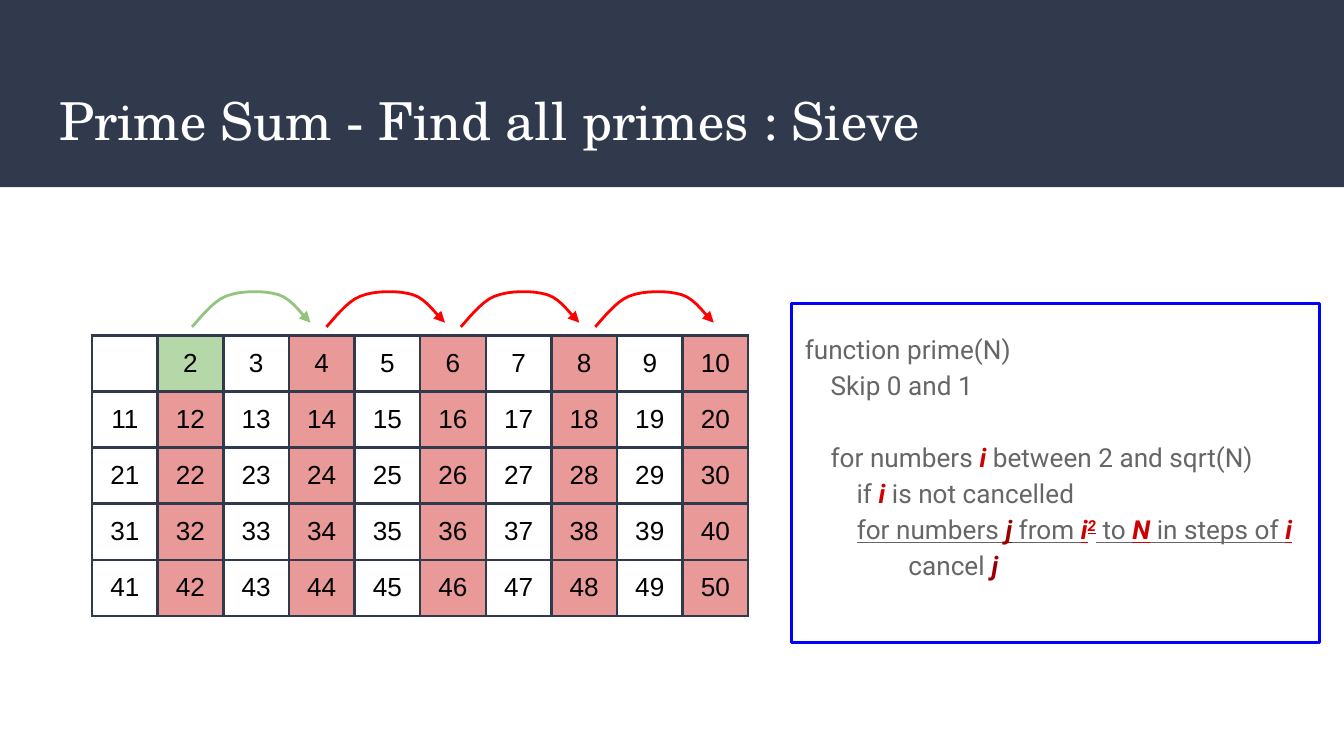
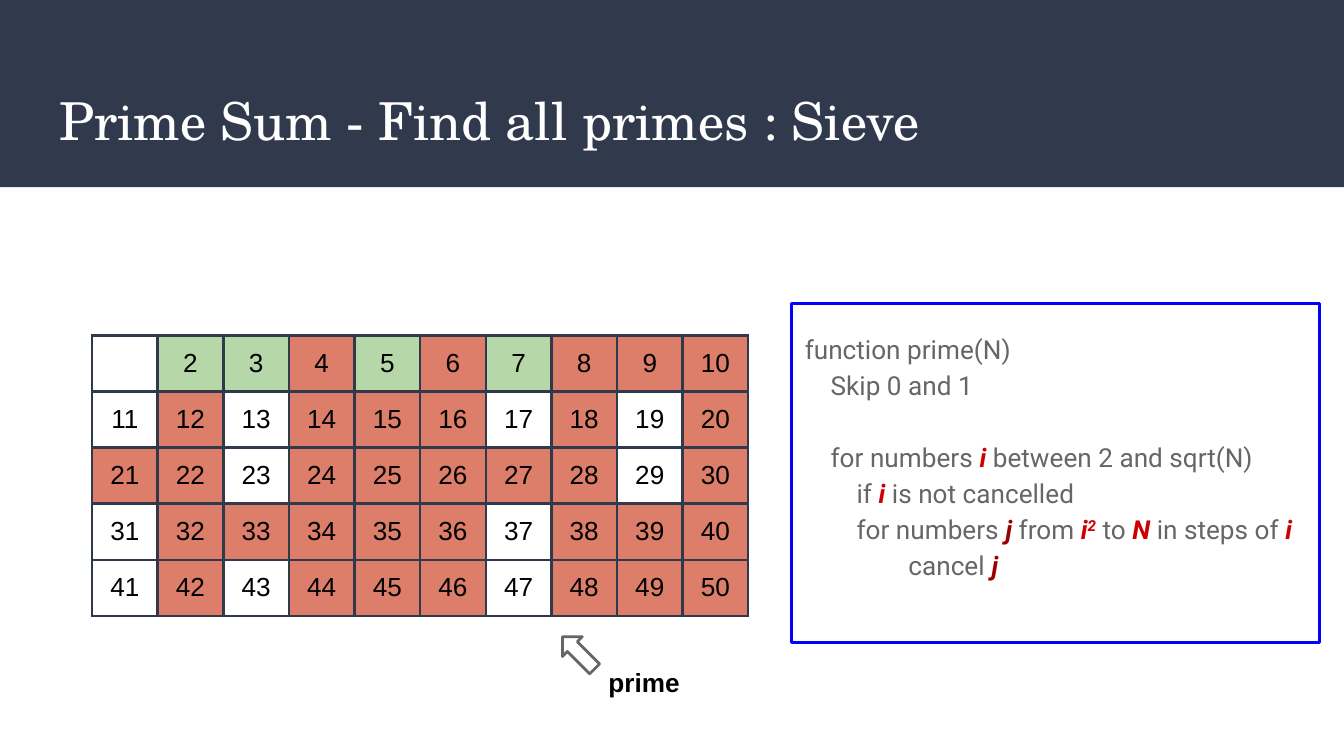
import dataclasses

import lxml.etree
import pptx
import pptx.dml.color
import pptx.enum.shapes
import pptx.enum.text
import pptx.oxml.ns
import pptx.util


@dataclasses.dataclass(frozen=True)
class Theme:
    """Colours, fonts and sizes of the deck."""

    navy: str = "31394D"
    white: str = "FFFFFF"
    black: str = "000000"
    grey: str = "666666"
    blue: str = "0000FF"
    leaf: str = "B6D7A8"
    green: str = "93C47D"
    red: str = "FF0000"
    pink: str = "EA9999"
    coral: str = "DD7E6B"
    key: str = "CC0000"
    dark: str = "990000"
    serif: str = "TeX Gyre Schola"
    sans: str = "Arial"
    code: str = "Roboto"
    head: float = 28
    text: float = 14
    line: float = 1.5
    pad: float = 0.25


THEME = Theme()
SIZE = (25.4, 14.29)
BAND = (0, 0, 25.4, 3.54)
TITLE = (0.87, 1.4, 23.67, 1.73)
GRID = (1.74, 6.34, 12.4, 5.3)
CODE = (14.96, 5.74, 9.98, 6.4)
HOPS = (3.63, 5.52, 2.24, 0.66)
MARK = (10.67, 11.91, 7.0, 1.6)
ROWS, COLS = 5, 10
HOP_STEP = 2.54
ARC = [
    (0, 0.66), (0.1, 0.56), (0.38, 0.18), (0.64, 0.08), (0.91, -0.03),
    (1.37, -0.03), (1.63, 0.05), (1.91, 0.13), (2.13, 0.51), (2.24, 0.58),
]
LINES = [
    (0, "function prime(N)"),
    (1, "Skip 0 and 1"),
    (0, ""),
    (1, "for numbers |i| between 2 and sqrt(N)"),
    (2, "if |i| is not cancelled"),
    (2, "for numbers |j| from |i||2| to |N| in steps of |i|"),
    (4, "cancel |j|"),
]
STEP_LINE = 5


def place(box):
    """Turn a box in centimetres into lengths."""
    return [pptx.util.Cm(side) for side in box]


def tint(code):
    """Return a colour object."""
    return pptx.dml.color.RGBColor.from_string(code)


def style(run, name, size, hue, bold=False):
    """Format one run."""
    font = run.font
    font.name, font.size, font.bold = name, pptx.util.Pt(size), bold
    font.color.rgb = tint(hue)


def inset(frame):
    """Give a text frame or cell even margins."""
    pad = pptx.util.Cm(THEME.pad)
    frame.margin_left = frame.margin_right = pad
    frame.margin_top = frame.margin_bottom = pad


def hollow(shape, hue):
    """Leave only the outline of a shape."""
    shape.shadow.inherit = False
    shape.fill.background()
    shape.line.color.rgb = tint(hue)
    shape.line.width = pptx.util.Pt(THEME.line)


def add_band(slide, box):
    """Put the dark band behind all slides of the layout."""
    band = slide.shapes.add_shape(
        pptx.enum.shapes.MSO_SHAPE.RECTANGLE, *place(box))
    band.shadow.inherit = False
    band.fill.solid()
    band.fill.fore_color.rgb = tint(THEME.navy)
    band.line.fill.background()
    slide.slide_layout.shapes._spTree.insert(2, band._element)


def add_title(slide, box, text):
    """Fill and place the title."""
    title = slide.shapes.title
    title.left, title.top, title.width, title.height = place(box)
    frame = title.text_frame
    frame.text = text
    frame.auto_size = pptx.enum.text.MSO_AUTO_SIZE.NONE
    frame.vertical_anchor = pptx.enum.text.MSO_ANCHOR.MIDDLE
    inset(frame)
    para = frame.paragraphs[0]
    para.alignment = pptx.enum.text.PP_ALIGN.LEFT
    style(para.runs[0], THEME.serif, THEME.head, THEME.white)


def add_edges(cell):
    """Draw the four borders of a cell."""
    props = cell._tc.get_or_add_tcPr()
    qn = pptx.oxml.ns.qn
    for side in "LRTB":
        edge = lxml.etree.SubElement(
            props, qn("a:ln" + side), w=str(pptx.util.Pt(THEME.line)))
        fill = lxml.etree.SubElement(edge, qn("a:solidFill"))
        lxml.etree.SubElement(fill, qn("a:srgbClr"), val=THEME.navy)


def fill_cell(cell, num, primes, hue):
    """Write one number and shade it by its state in the sieve."""
    add_edges(cell)
    if num in primes:
        shade = THEME.leaf
    elif any(num % prime == 0 for prime in primes):
        shade = hue
    else:
        shade = None
    if shade:
        cell.fill.solid()
        cell.fill.fore_color.rgb = tint(shade)
    else:
        cell.fill.background()
    if num > 1:
        inset(cell)
        cell.vertical_anchor = pptx.enum.text.MSO_ANCHOR.MIDDLE
        para = cell.text_frame.paragraphs[0]
        para.text = str(num)
        para.alignment = pptx.enum.text.PP_ALIGN.CENTER
        style(para.runs[0], THEME.sans, THEME.text, THEME.black)


def add_grid(slide, box, primes, hue):
    """Add the number table, sieved by the given primes."""
    table = slide.shapes.add_table(ROWS, COLS, *place(box)).table
    table.first_row = table.horz_banding = False
    for col in table.columns:
        col.width = pptx.util.Cm(box[2] / COLS)
    for row in table.rows:
        row.height = pptx.util.Cm(box[3] / ROWS)
    for num, cell in enumerate(table.iter_cells(), 1):
        fill_cell(cell, num, primes, hue)


def add_part(para, text, is_key, under):
    """Add one run of code, bold and red if it is a key name."""
    run = para.add_run()
    run.text = text
    hue = THEME.grey
    if is_key:
        hue = THEME.dark if text == "j" else THEME.key
    style(run, THEME.code, THEME.text, hue, is_key)
    run.font.italic = is_key
    run.font.underline = under
    if is_key and text == "2":
        run._r.get_or_add_rPr().set("baseline", "30000")


def add_break(para):
    """Break the line at the size of the code."""
    para.add_line_break()
    lxml.etree.SubElement(
        para._p[-1], pptx.oxml.ns.qn("a:rPr"), sz=str(THEME.text * 100))


def add_code(slide, box, under=None):
    """Add the framed code, with one line underlined if asked."""
    shape = slide.shapes.add_shape(
        pptx.enum.shapes.MSO_SHAPE.RECTANGLE, *place(box))
    hollow(shape, THEME.blue)
    frame = shape.text_frame
    frame.word_wrap = True
    frame.vertical_anchor = pptx.enum.text.MSO_ANCHOR.MIDDLE
    inset(frame)
    frame.margin_bottom = pptx.util.Cm(0.93)
    para = frame.paragraphs[0]
    para.alignment = pptx.enum.text.PP_ALIGN.LEFT
    para.line_spacing = 1.15
    for row, (depth, line) in enumerate(LINES):
        if row:
            add_break(para)
        if depth:
            add_part(para, "    " * depth, False, False)
        for spot, text in enumerate(line.split("|")):
            if text:
                add_part(para, text, spot % 2 == 1, row == under)


def trace(points, steps=8):
    """Yield points along joined cubic curves."""
    for first in range(0, len(points) - 1, 3):
        a, b, c, d = points[first:first + 4]
        for step in range(1, steps + 1):
            t = step / steps
            u = 1 - t
            yield tuple(
                u**3 * p + 3 * u * u * t * q + 3 * u * t * t * r + t**3 * s
                for p, q, r, s in zip(a, b, c, d))


def add_hop(slide, box, hue):
    """Add one curved arrow."""
    left, top = box[:2]
    start, *rest = [
        place((left + x, top + y)) for x, y in (ARC[0], *trace(ARC))]
    form = slide.shapes.build_freeform(*start)
    form.add_line_segments(rest, close=False)
    hop = form.convert_to_shape()
    hollow(hop, hue)
    lxml.etree.SubElement(
        hop.line._get_or_add_ln(), pptx.oxml.ns.qn("a:tailEnd"),
        type="triangle")


def add_hops(slide, box):
    """Add the row of hops from each even number to the next."""
    left, top, width, height = box
    for spot, hue in enumerate([THEME.green] + [THEME.red] * 3):
        add_hop(slide, (left + spot * HOP_STEP, top, width, height), hue)


def add_mark(slide, box):
    """Add the slanted arrow and its label."""
    left, top = box[:2]
    arrow = slide.shapes.add_shape(
        pptx.enum.shapes.MSO_SHAPE.UP_ARROW, *place((left, top, 0.53, 0.86)))
    arrow.rotation = 315
    hollow(arrow, THEME.grey)
    label = slide.shapes.add_textbox(
        *place((left + 0.58, top + 0.43, 2.84, 1.12)))
    frame = label.text_frame
    frame.word_wrap = True
    frame.auto_size = pptx.enum.text.MSO_AUTO_SIZE.SHAPE_TO_FIT_TEXT
    inset(frame)
    frame.text = "prime"
    style(frame.paragraphs[0].runs[0], THEME.sans, THEME.text, THEME.black,
          True)


def add_sieve(deck, primes, hue, under=None):
    """Add a slide with the title, number table and code."""
    slide = deck.slides.add_slide(deck.slide_layouts[5])
    add_title(slide, TITLE, "Prime Sum - Find all primes : Sieve")
    add_grid(slide, GRID, primes, hue)
    add_code(slide, CODE, under)
    return slide


def main():
    """Build and save the deck."""
    deck = pptx.Presentation()
    deck.slide_width, deck.slide_height = place(SIZE)
    first = add_sieve(deck, (2,), THEME.pink, STEP_LINE)
    add_band(first, BAND)
    add_hops(first, HOPS)
    last = add_sieve(deck, (2, 3, 5, 7), THEME.coral)
    add_mark(last, MARK)
    deck.save("out.pptx")


if __name__ == "__main__":
    main()
